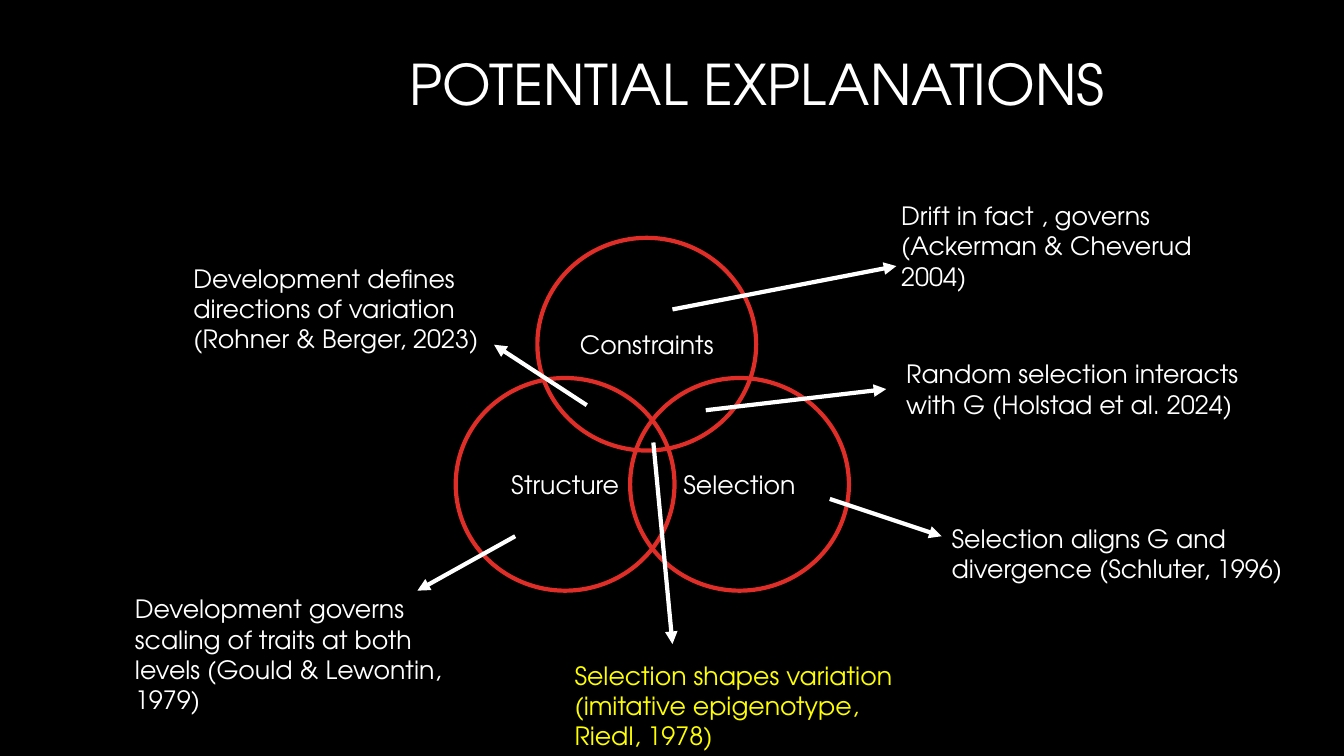
from lxml import etree
from pptx import Presentation
from pptx import util as u
from pptx.dml.color import RGBColor
from pptx.enum import dml, shapes, text
from pptx.oxml.ns import qn

COLORS = {
    "background": "000000",
    "text": "FFFFFF",
    "circle": "DF2E28",
    "highlight": "FFFF00",
}
FONT = "TeX Gyre Adventor"
CIRCLE_SIZE = (2.17, 2.11)

# label, left, top
CIRCLES = [
    ("Constraints", 5.33, 2.36),
    ("Selection", 6.25, 3.75),
    ("Structure", 4.52, 3.75),
]

# wording, box (left, top, width, height), arrow start, arrow end, colour
EXPLANATIONS = [
    ("Drift in fact , governs (Ackerman & Cheverud 2004)",
     (8.84, 1.94, 3.51, 1.01), (6.67, 3.07), (8.89, 2.64), "text"),
    ("Selection aligns G and divergence (Schluter, 1996)",
     (9.34, 5.14, 3.51, 1.01), (8.23, 4.95), (9.34, 5.32), "text"),
    ("Development governs scaling of traits at both levels (Gould & Lewontin, 1979)",
     (1.24, 5.84, 3.51, 1.31), (5.11, 5.32), (4.14, 5.86), "text"),
    ("Random selection interacts with G (Holstad et al. 2024)",
     (8.89, 3.51, 3.96, 0.71), (7, 4.07), (8.79, 3.86), "text"),
    ("Selection shapes variation (imitative epigenotype, Riedl, 1978)",
     (5.6, 6.5, 3.51, 1.01), (6.48, 4.39), (6.67, 6.39), "highlight"),
    ("Development defines directions of variation (Rohner & Berger, 2023)",
     (1.82, 2.56, 3.51, 1.01), (5.82, 4.02), (4.9, 3.42), "text"),
]


def rgb(name):
    return RGBColor.from_string(COLORS[name])


def inches(*lengths):
    return [u.Inches(length) for length in lengths]


def write_text(shape, wording, size=18, color="text", align=text.PP_ALIGN.LEFT,
               anchor=text.MSO_ANCHOR.TOP, fit=text.MSO_AUTO_SIZE.NONE, spacing=1.0):
    frame = shape.text_frame
    frame.word_wrap = True
    frame.auto_size = fit
    frame.vertical_anchor = anchor
    paragraph = frame.paragraphs[0]
    paragraph.alignment = align
    paragraph.line_spacing = spacing
    run = paragraph.add_run()
    run.text = wording
    run.font.name = FONT
    run.font.size = u.Pt(size)
    run.font.color.rgb = rgb(color)


class VennSlide:
    def __init__(self, presentation):
        self.slide = presentation.slides.add_slide(presentation.slide_layouts[5])
        self.line_width = u.Pt(3)
        self.centered = {"align": text.PP_ALIGN.CENTER, "anchor": text.MSO_ANCHOR.MIDDLE}
        fill = self.slide.background.fill
        fill.solid()
        fill.fore_color.rgb = rgb("background")

    def title(self, wording, left, top, width, height):
        title = self.slide.shapes.title
        title.left, title.top, title.width, title.height = inches(left, top, width, height)
        write_text(title, wording, size=40, spacing=0.9, **self.centered)

    def circle(self, label, left, top):
        circle = self.slide.shapes.add_shape(
            shapes.MSO_SHAPE.OVAL, *inches(left, top, *CIRCLE_SIZE))
        circle.shadow.inherit = False
        circle.fill.background()
        circle.line.color.rgb = rgb("circle")
        circle.line.width = self.line_width
        write_text(circle, label, **self.centered)

    def arrow(self, start, end):
        arrow = self.slide.shapes.add_connector(
            shapes.MSO_CONNECTOR.STRAIGHT, *inches(*start, *end))
        arrow.line.color.rgb = rgb("text")
        arrow.line.width = self.line_width
        arrow.line.dash_style = dml.MSO_LINE.SOLID
        properties = arrow.element.spPr
        etree.SubElement(properties.find(qn("a:ln")), qn("a:tailEnd"), type="triangle")
        etree.SubElement(properties, qn("a:effectLst"))

    def note(self, wording, box, color):
        note = self.slide.shapes.add_textbox(*inches(*box))
        write_text(note, wording, color=color, fit=text.MSO_AUTO_SIZE.SHAPE_TO_FIT_TEXT)


def main():
    presentation = Presentation()
    presentation.slide_width, presentation.slide_height = inches(13.33, 7.5)
    venn = VennSlide(presentation)
    venn.title("POTENTIAL EXPLANATIONS", 2.8, 0.16, 9.42, 1.41)
    for circle in CIRCLES:
        venn.circle(*circle)
    for wording, box, start, end, color in EXPLANATIONS:
        venn.arrow(start, end)
        venn.note(wording, box, color)
    presentation.save("out.pptx")


if __name__ == "__main__":
    main()
